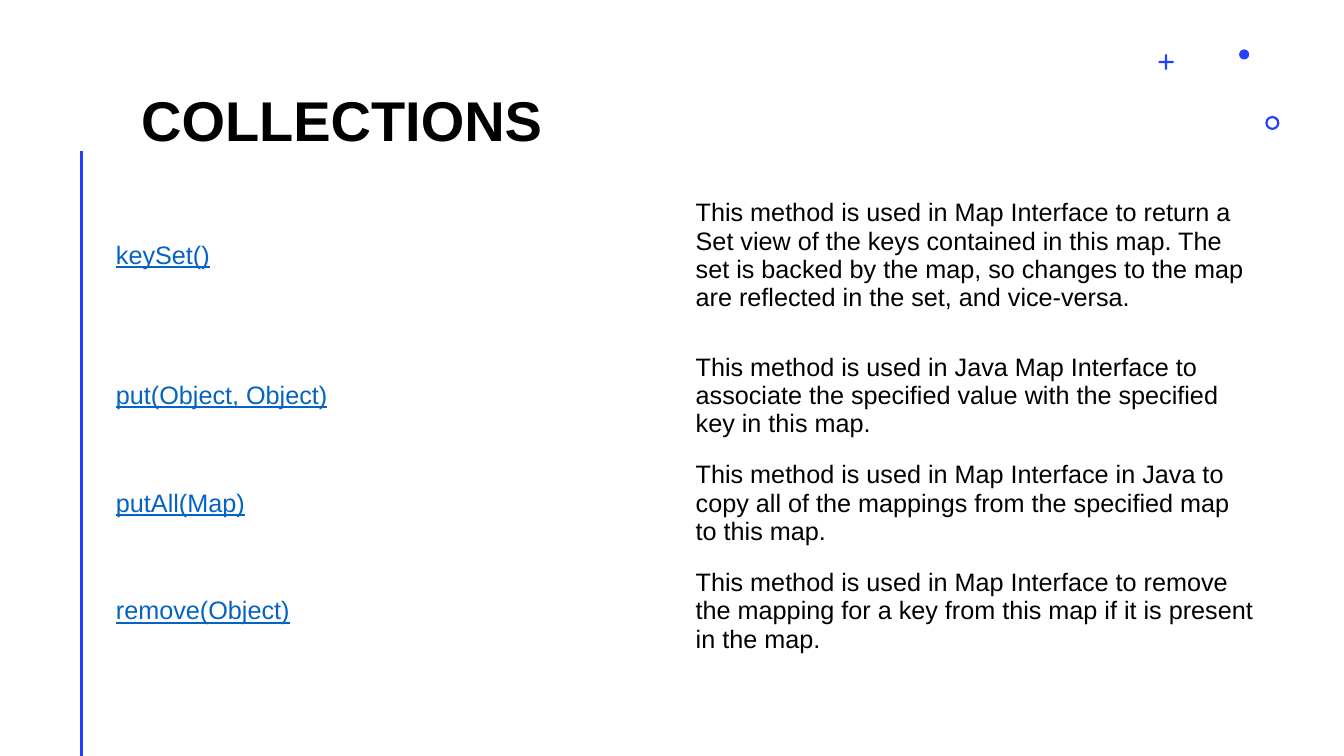
from dataclasses import dataclass

from pptx import Presentation
from pptx import util as u
from pptx.dml.color import RGBColor
from pptx.enum import shapes, text
from pptx.oxml.ns import qn
from lxml import etree


@dataclass(frozen=True)
class Theme:
    font: str = "Arial"
    ink: str = "000000"
    accent: str = "243FFF"
    link: str = "0563C1"
    title_size: int = 40
    body_size: int = 18
    rule_width: int = 2


METHODS = [
    ("keySet()",
     "This method is used in Map Interface to return a Set view of the keys "
     "contained in this map. The set is backed by the map, so changes to the "
     "map are reflected in the set, and vice-versa."),
    ("put(Object, Object)",
     "This method is used in Java Map Interface to associate the specified "
     "value with the specified key in this map."),
    ("putAll(Map)",
     "This method is used in Map Interface in Java to copy all of the mappings "
     "from the specified map to this map."),
    ("remove(Object)",
     "This method is used in Map Interface to remove the mapping for a key "
     "from this map if it is present in the map."),
]


def apply(target, formats):
    for name, value in formats.items():
        setattr(target, name, value)


class Page:
    def __init__(self, deck, theme):
        self.theme = theme
        self.slide = deck.slides.add_slide(deck.slide_layouts[5])

    def add_words(self, frame, words, size, color, **formats):
        paragraph = frame.paragraphs[0]
        span = paragraph.add_run()
        span.text = words
        apply(span.font, {"name": self.theme.font, "size": u.Pt(size), **formats})
        span.font.color.rgb = RGBColor.from_string(color)
        return paragraph

    def title(self, words, left, top, width, height):
        box = self.slide.shapes.title
        apply(box, {"left": u.Inches(left), "top": u.Inches(top),
                    "width": u.Inches(width), "height": u.Inches(height)})
        apply(box.text_frame, {"margin_left": 0, "margin_right": 0,
                               "margin_top": 0, "margin_bottom": 0,
                               "word_wrap": True,
                               "vertical_anchor": text.MSO_ANCHOR.BOTTOM})
        size = self.theme.title_size
        paragraph = self.add_words(box.text_frame, words, size, self.theme.ink,
                                   bold=True)
        apply(paragraph, {"alignment": text.PP_ALIGN.LEFT,
                          "line_spacing": u.Pt(size)})

    def rule(self, x, top, bottom):
        line = self.slide.shapes.add_connector(
            shapes.MSO_CONNECTOR.STRAIGHT,
            u.Inches(x), u.Inches(top), u.Inches(x), u.Inches(bottom))
        line.line.color.rgb = RGBColor.from_string(self.theme.accent)
        line.line.width = u.Pt(self.theme.rule_width)
        properties = line._element.find(qn("p:spPr"))
        etree.SubElement(properties, qn("a:effectLst"))

    def ornament(self, kind, left, top, size, adjustment=None):
        shape = self.slide.shapes.add_shape(
            kind, u.Inches(left), u.Inches(top), u.Inches(size), u.Inches(size))
        shape.shadow.inherit = False
        shape.fill.solid()
        shape.fill.fore_color.rgb = RGBColor.from_string(self.theme.accent)
        shape.line.fill.background()
        if adjustment is not None:
            shape.adjustments[0] = adjustment

    def table(self, rows, left, top, column_width, row_heights):
        columns = len(rows[0])
        table = self.slide.shapes.add_table(
            len(rows), columns, u.Inches(left), u.Inches(top),
            u.Inches(column_width * columns), u.Inches(sum(row_heights))).table
        apply(table, {"first_row": False, "horz_banding": False})
        for column in table.columns:
            column.width = u.Inches(column_width)
        styles = [(self.theme.link, True), (self.theme.ink, False)]
        for row, height, entries in zip(table.rows, row_heights, rows):
            row.height = u.Inches(height)
            for cell, words, (color, underline) in zip(row.cells, entries, styles):
                cell.fill.background()
                cell.vertical_anchor = text.MSO_ANCHOR.MIDDLE
                self.add_words(cell.text_frame, words, self.theme.body_size,
                               color, underline=underline)


def main():
    deck = Presentation()
    apply(deck, {"slide_width": u.Inches(13.33), "slide_height": u.Inches(7.5)})
    page = Page(deck, Theme())
    page.rule(0.81, 1.5, 7.5)
    page.ornament(shapes.MSO_SHAPE.CROSS, 11.49, 0.54, 0.15, 0.43)
    page.ornament(shapes.MSO_SHAPE.DONUT, 12.55, 1.15, 0.14, 0.16)
    page.ornament(shapes.MSO_SHAPE.OVAL, 12.29, 0.49, 0.1)
    page.title("COLLECTIONS", 1.4, 0.75, 9.99, 0.77)
    page.table(METHODS, 1.05, 1.68, 5.75, [1.71, 1.07, 1.07, 1.07])
    deck.save("out.pptx")


if __name__ == "__main__":
    main()
